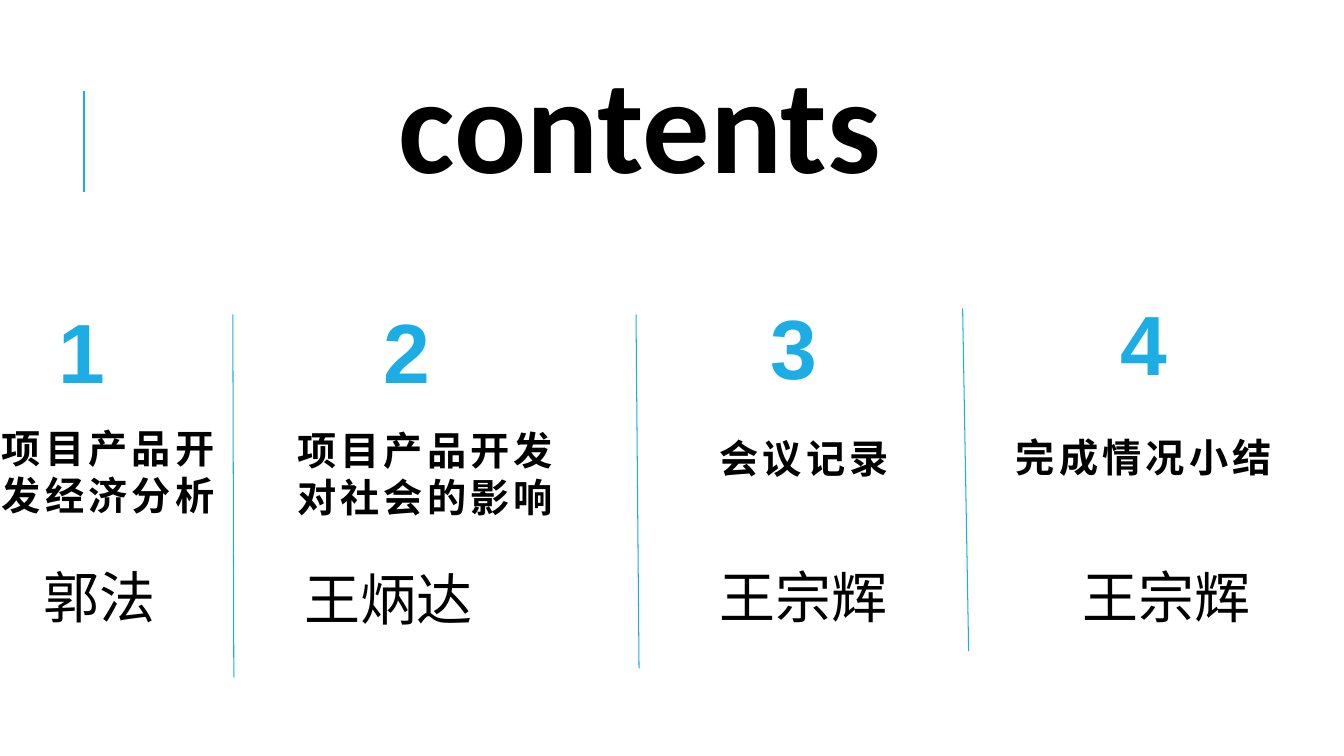
from pptx import Presentation
from pptx.dml.color import RGBColor as Rgb
from pptx.enum.shapes import MSO_CONNECTOR as Connector
from pptx.enum.text import MSO_ANCHOR as Anchor, MSO_AUTO_SIZE as Fit
from pptx.oxml.ns import qn
from pptx.util import Emu, Pt
from lxml.etree import SubElement

PX = 9144  # 100 px to the inch
COLOURS = {"accent": "1CADE4", "ink": "000000"}

# Character formats, letter spacing in hundredths of a point
FONTS = {
    "title": {"name": "Calibri", "size": Pt(96), "bold": True},
    "number": {"name": "Arial", "size": Pt(60), "bold": True},
    "topic": {"name": "Arial", "size": Pt(28), "bold": True},
    "speaker": {"name": "Calibri", "size": Pt(40), "bold": False},
}
SPACING = {"number": 150, "topic": 300}

# Frame formats
BOTTOM = {"word_wrap": True, "vertical_anchor": Anchor.BOTTOM, "auto_size": Fit.NONE}
TOP = {"word_wrap": True, "vertical_anchor": Anchor.TOP, "auto_size": Fit.NONE}
TIGHT = {"word_wrap": False, "vertical_anchor": Anchor.TOP,
         "auto_size": Fit.SHAPE_TO_FIT_TEXT}

# Number corner, topic and its box, speaker with box and frame format
SECTIONS = [
    ((48, 196), "项目产品开发经济分析", (-8, 426, 256, 93),
     "郭法", (33, 553, 132, 77), TIGHT),
    ((371, 196), "项目产品开发对社会的影响", (285, 425, 314, 96),
     "王炳达", (292, 555, 188, 77), TIGHT),
    ((755, 192), "会议记录", (704, 389, 360, 93),
     "王宗辉", (704, 553, 324, 52), TOP),
    ((1102, 188), "完成情况小结", (998, 424, 324, 57),
     "王宗辉", (1064, 553, 188, 77), TIGHT),
]
DIVIDERS = [(231, 312, 232, 672), (631, 312, 634, 663), (955, 306, 961, 646)]


def px(*lengths):
    return [Emu(length * PX) for length in lengths]


def apply(target, formats):
    for attribute, value in formats.items():
        setattr(target, attribute, value)


def add_text(slide, words, box, role, frame_format, colour="ink"):
    frame = slide.shapes.add_textbox(*px(*box)).text_frame
    apply(frame, frame_format)
    run = frame.paragraphs[0].add_run()
    run.text = words
    apply(run.font, FONTS[role])
    run.font.color.rgb = Rgb.from_string(COLOURS[colour])
    if role in SPACING:
        run.font._element.set("spc", str(SPACING[role]))


def add_rule(slide, ends, weight):
    rule = slide.shapes.add_connector(Connector.STRAIGHT, *px(*ends))
    rule.line.color.rgb = Rgb.from_string(COLOURS["accent"])
    rule.line.width = Pt(weight)
    SubElement(rule._element.spPr, qn("a:effectLst"))


def add_section(slide, number, corner, topic, topic_box, speaker, speaker_box, frame_format):
    add_text(slide, str(number), (*corner, 254, 206), "number", BOTTOM, "accent")
    add_text(slide, topic, topic_box, "topic", BOTTOM)
    add_text(slide, speaker, speaker_box, "speaker", frame_format)


def main():
    deck = Presentation()
    deck.slide_width, deck.slide_height = Emu(12192000), Emu(750 * PX)
    slide = deck.slides.add_slide(deck.slide_layouts[6])

    # Heading
    add_rule(slide, (83, 190, 83, 90), 1.5)
    add_text(slide, "contents", (386, 34, 862, 172), "title", TOP)

    # Four sections
    for number, section in enumerate(SECTIONS, start=1):
        add_section(slide, number, *section)

    # Dividers between them
    for ends in DIVIDERS:
        add_rule(slide, ends, 0.75)

    deck.save("out.pptx")


if __name__ == "__main__":
    main()
